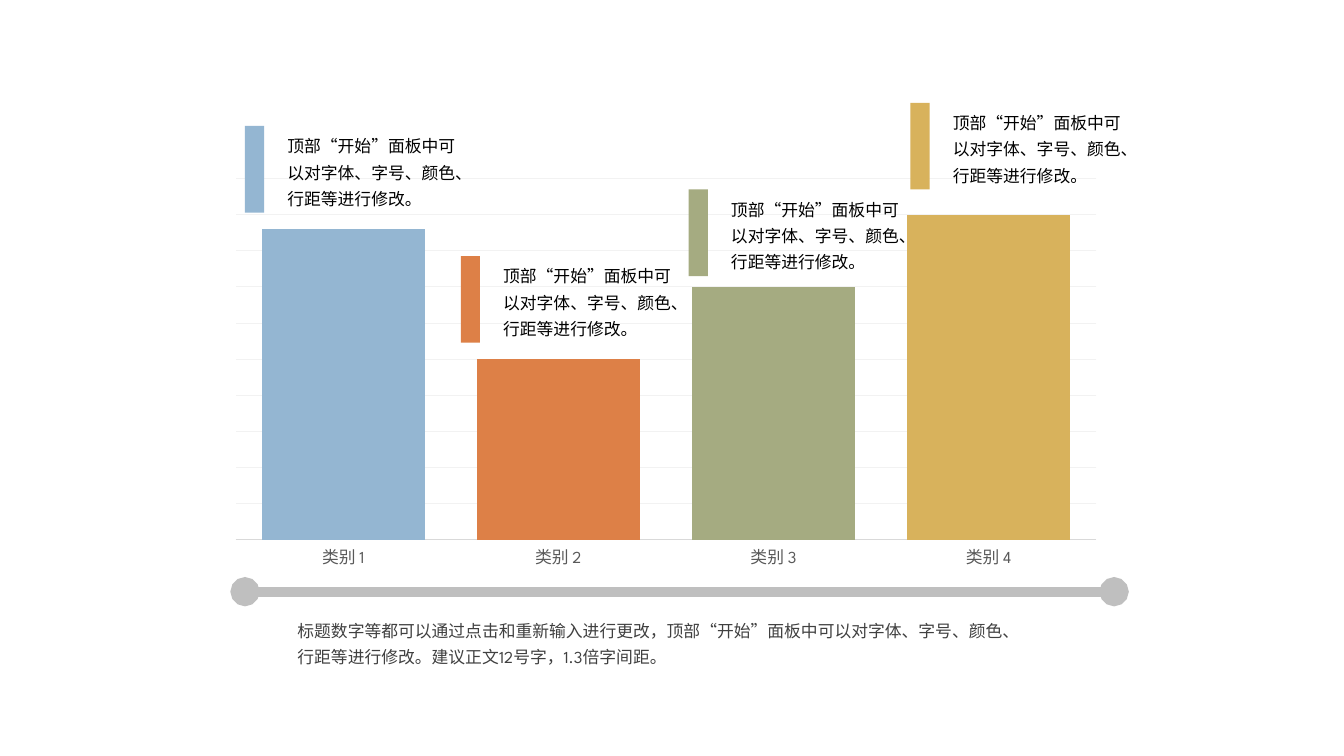
from dataclasses import dataclass

from lxml.etree import SubElement
from pptx import Presentation
from pptx.chart.data import CategoryChartData
from pptx.dml.color import RGBColor
from pptx.enum.chart import XL_CHART_TYPE, XL_TICK_MARK
from pptx.enum.lang import MSO_LANGUAGE_ID
from pptx.enum.shapes import MSO_CONNECTOR, MSO_SHAPE
from pptx.enum.text import MSO_AUTO_SIZE
from pptx.oxml import parse_xml
from pptx.oxml.ns import nsdecls, qn
from pptx.util import Emu, Pt

FONT = "League Spartan"
NOTE = "顶部“开始”面板中可以对字体、字号、颜色、行距等进行修改。"
SUMMARY = (
    "标题数字等都可以通过点击和重新输入进行更改，顶部“开始”面板中可以对字体、字号、颜色、"
    "行距等进行修改。建议正文12号字，1.3倍字间距。"
)


@dataclass
class Category:
    name: str
    value: float
    color: str
    note_left: int
    note_top: int


CATEGORIES = [
    Category("类别 1", 4.3, "94B6D2", 243, 125),
    Category("类别 2", 2.5, "DD8047", 457, 254),
    Category("类别 3", 3.5, "A5AB81", 683, 188),
    Category("类别 4", 4.5, "D8B25C", 903, 102),
]


def px(n: int) -> Emu:
    """100 px make one inch."""
    return Emu(n * 9144)


def rgb(color: str) -> RGBColor:
    return RGBColor.from_string(color)


def set_font(font, size: int, color: str) -> None:
    font.name = FONT
    font.size = Pt(size)
    font.color.rgb = rgb(color)


def set_line(line, color: str, width: float) -> None:
    line.color.rgb = rgb(color)
    line.width = Pt(width)


def add_text(shapes, text: str, *, left: int, top: int, width: int, height: int,
             color: str = "000000", size: int = 12) -> None:
    box = shapes.add_textbox(px(left), px(top), px(width), px(height))
    tf = box.text_frame
    tf.word_wrap = True
    tf.auto_size = MSO_AUTO_SIZE.SHAPE_TO_FIT_TEXT
    tf.margin_left = tf.margin_right = px(7)
    tf.margin_top = tf.margin_bottom = px(4)
    p = tf.paragraphs[0]
    p.line_spacing = 1.3
    r = p.add_run()
    r.text = text
    set_font(r.font, size, color)
    r.font.language_id = MSO_LANGUAGE_ID.SIMPLIFIED_CHINESE


def add_note(shapes, category: Category) -> None:
    group = shapes.add_group_shape().shapes
    left, top, height = category.note_left, category.note_top, 86
    add_text(group, NOTE, left=left + 35, top=top, width=185, height=height)
    marker = group.add_shape(MSO_SHAPE.RECTANGLE, px(left), px(top), px(19), px(height))
    marker.shadow.inherit = False
    marker.fill.solid()
    marker.fill.fore_color.rgb = rgb(category.color)
    marker.line.fill.background()


def set_plot_layout(chart, **fractions: float) -> None:
    """Fix the inner plot area as fractions of the chart."""
    area = chart.plots[0]._element.getparent()
    for old in area.findall(qn("c:layout")):
        area.remove(old)
    values = "".join(f'<c:{key} val="{value}"/>' for key, value in fractions.items())
    area.insert(0, parse_xml(
        f'<c:layout {nsdecls("c")}><c:manualLayout><c:layoutTarget val="inner"/>'
        f'<c:xMode val="edge"/><c:yMode val="edge"/>{values}</c:manualLayout></c:layout>'))


def add_column_chart(shapes) -> None:
    data = CategoryChartData()
    data.categories = [c.name for c in CATEGORIES]
    data.add_series("Series 1", [c.value for c in CATEGORIES])
    chart = shapes.add_chart(XL_CHART_TYPE.COLUMN_CLUSTERED, px(216), px(169),
                             px(889), px(403), data).chart
    chart.has_title = False
    chart.has_legend = False
    set_font(chart.font, 10, "000000")

    plot = chart.plots[0]
    plot.gap_width = 32
    plot.overlap = -21
    plot.vary_by_categories = False
    series = plot.series[0]
    for fill, category in [(series.format.fill, CATEGORIES[0])] + [
            (series.points[i].format.fill, c) for i, c in enumerate(CATEGORIES) if i]:
        fill.solid()
        fill.fore_color.rgb = rgb(category.color)

    axis = chart.category_axis
    axis.major_tick_mark = axis.minor_tick_mark = XL_TICK_MARK.NONE
    set_font(axis.tick_labels.font, 12, "595959")
    set_line(axis.format.line, "D9D9D9", 0.75)

    axis = chart.value_axis
    axis.visible = False
    axis.minimum_scale, axis.maximum_scale, axis.major_unit = 0, 5, 0.5
    axis.has_major_gridlines = True
    set_line(axis.major_gridlines.format.line, "F2F2F2", 0.75)
    set_plot_layout(chart, x=0.02, y=0.02, w=0.96, h=0.89)


def add_baseline(shapes) -> None:
    rule = shapes.add_connector(MSO_CONNECTOR.STRAIGHT, px(243), px(587), px(1105), px(587))
    set_line(rule.line, "BFBFBF", 7)
    ln = rule.line._get_or_add_ln()
    for end in ("a:headEnd", "a:tailEnd"):
        SubElement(ln, qn(end), type="oval")
    SubElement(rule._element.spPr, qn("a:effectLst"))


def main() -> None:
    prs = Presentation()
    prs.slide_width, prs.slide_height = px(1333), px(750)
    s = prs.slides.add_slide(prs.slide_layouts[6])
    add_column_chart(s.shapes)
    add_text(s.shapes, SUMMARY, left=288, top=606, width=746, height=60, color="404040")
    add_baseline(s.shapes)
    for category in CATEGORIES:
        add_note(s.shapes, category)
    prs.save("out.pptx")


if __name__ == "__main__":
    main()
